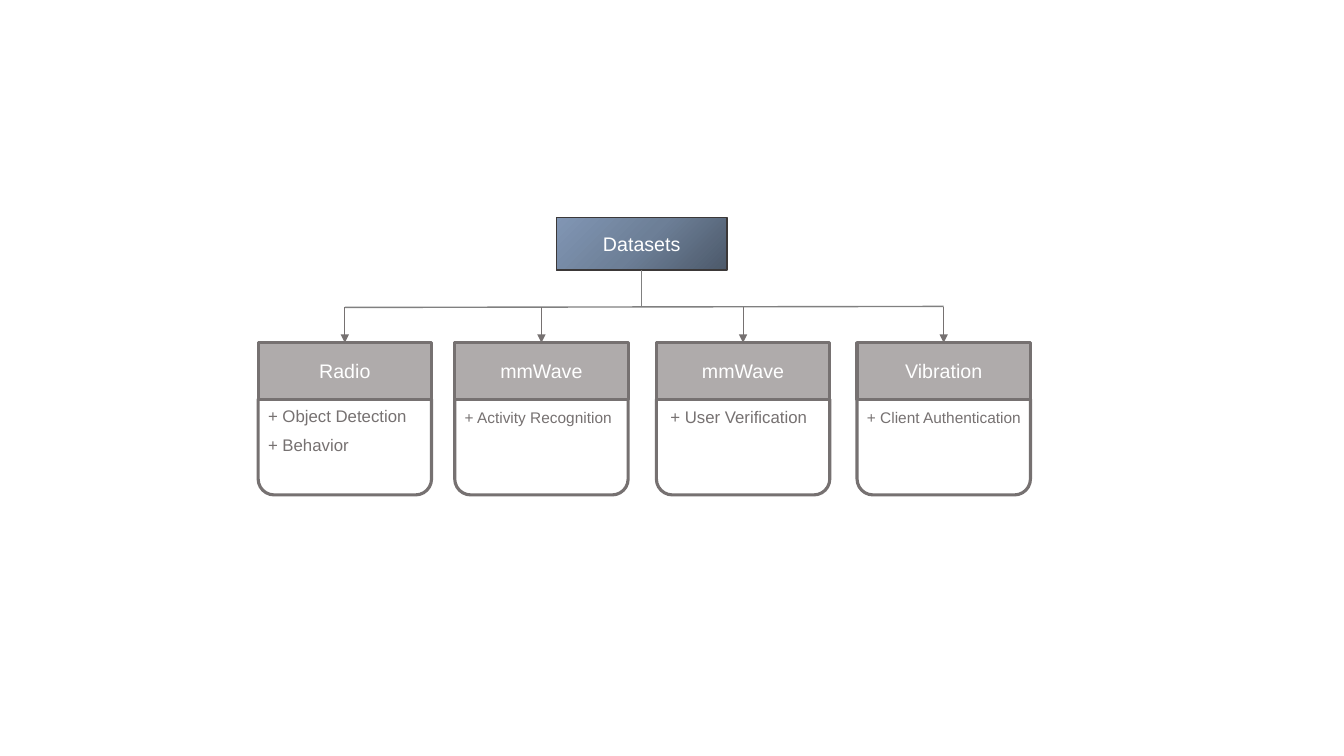
from copy import deepcopy
from dataclasses import dataclass

from lxml import etree
from pptx import Presentation
from pptx.dml.color import RGBColor
from pptx.enum import shapes, text
from pptx.oxml import ns
from pptx.util import Inches, Pt

ROOT = "Datasets"
BRANCHES = [
    dict(name="Radio", left=2.56, items=["+ Object Detection", "+ Behavior"],
         note=(2.56, 3.98, 0.59), size=12, before=6),
    dict(name="mmWave", left=4.51, items=["+ Activity Recognition"],
         note=(4.51, 4.0, 0.29), size=11, before=0),
    dict(name="mmWave", left=6.51, items=["+ User Verification"],
         note=(6.55, 3.99, 0.3), size=12, before=0),
    dict(name="Vibration", left=8.5, items=["+ Client Authentication"],
         note=(8.5, 4.0, 0.29), size=11, before=0),
]
ROOT_BOX = (5.52, 2.16, 1.69, 0.52)
BOX_W, HEAD_TOP, HEAD_H, BODY_H, NOTE_W = 1.72, 3.4, 0.56, 0.95, 1.82
BUS_Y = 3.05


@dataclass(frozen=True)
class Theme:
    """Colours, font and sizes of the tree."""
    font: str = "Arial"
    head_size: int = 14
    white: str = "FFFFFF"
    grey: str = "767171"
    bus: str = "808080"
    head: str = "AFABAB"
    root_line: str = "3B3838"
    root_stops: tuple = ((0, "4C596A"), (0.5, "6D7F97"), (1, "8196B4"))


THEME = Theme()


def rgb(value):
    """Turn a hex string into a colour."""
    return RGBColor.from_string(value)


def write(tf, lines, size, color, **para):
    """Fill a text frame with one paragraph per line."""
    tf.word_wrap = True
    for i, line in enumerate(lines):
        p = tf.paragraphs[0] if i == 0 else tf.add_paragraph()
        for key, value in para.items():
            setattr(p, key, value)
        r = p.add_run()
        r.text = line
        for key, value in dict(name=THEME.font, size=Pt(size)).items():
            setattr(r.font, key, value)
        r.font.color.rgb = rgb(color)


def add_box(s, kind, box, line, width, fill=None, label=None):
    """Add an outlined shape with an optional fill and centred label."""
    sp = s.shapes.add_shape(kind, *map(Inches, box))
    sp.shadow.inherit = False
    sp.line.color.rgb = rgb(line)
    sp.line.width = Pt(width)
    if fill:
        sp.fill.solid()
        sp.fill.fore_color.rgb = rgb(fill)
    else:
        sp.fill.background()
    if label:
        sp.text_frame.vertical_anchor = text.MSO_ANCHOR.MIDDLE
        write(sp.text_frame, [label], THEME.head_size, THEME.white,
              alignment=text.PP_ALIGN.CENTER)
    return sp


def add_line(s, start, end, color, width, arrow=False):
    """Add a straight connector, with an arrowhead at its end if asked."""
    line = s.shapes.add_connector(shapes.MSO_CONNECTOR.STRAIGHT,
                                  *map(Inches, start + end))
    line.line.color.rgb = rgb(color)
    line.line.width = Pt(width)
    if arrow:
        etree.SubElement(line.line._get_or_add_ln(), ns.qn("a:tailEnd"), type="triangle")
    etree.SubElement(line._element.spPr, ns.qn("a:effectLst"))
    return line


def add_root(s):
    """Add the root box with its three-stop gradient."""
    sp = add_box(s, shapes.MSO_SHAPE.RECTANGLE, ROOT_BOX, THEME.root_line, 1, label=ROOT)
    sp.fill.gradient()
    sp.fill.gradient_angle = 135
    stops = sp._element.spPr.find(".//" + ns.qn("a:gsLst"))
    stops.insert(1, deepcopy(stops[0]))
    for stop, (position, color) in zip(sp.fill.gradient_stops, THEME.root_stops):
        stop.position = position
        stop.color.rgb = rgb(color)
    return sp


def add_branch(s, branch):
    """Add one branch: body, header, arrow and notes."""
    left, middle = branch["left"], branch["left"] + BOX_W / 2
    body = add_box(s, shapes.MSO_SHAPE.ROUND_2_SAME_RECTANGLE,
                   (left, HEAD_TOP + HEAD_H, BOX_W, BODY_H), THEME.grey, 2.25)
    body.rotation = 180
    head = add_box(s, shapes.MSO_SHAPE.RECTANGLE, (left, HEAD_TOP, BOX_W, HEAD_H),
                   THEME.grey, 2.25, THEME.head, branch["name"])
    arrow = add_line(s, (middle, BUS_Y), (middle, HEAD_TOP), THEME.grey, 0.75, arrow=True)
    arrow.end_connect(head, 0)
    x, y, height = branch["note"]
    tf = s.shapes.add_textbox(*map(Inches, (x, y, NOTE_W, height))).text_frame
    write(tf, branch["items"], branch["size"], THEME.grey, space_before=Pt(branch["before"]))
    tf.auto_size = text.MSO_AUTO_SIZE.SHAPE_TO_FIT_TEXT


def main():
    """Build the dataset tree slide."""
    prs = Presentation()
    prs.slide_width, prs.slide_height = Inches(13.33), Inches(7.5)
    s = prs.slides.add_slide(prs.slide_layouts[6])
    root = add_root(s)
    first, last = (BRANCHES[i]["left"] + BOX_W / 2 for i in (0, -1))
    add_line(s, (first, BUS_Y), (last, BUS_Y - 0.01), THEME.bus, 1)
    center = ROOT_BOX[0] + ROOT_BOX[2] / 2
    trunk = add_line(s, (center, ROOT_BOX[1] + ROOT_BOX[3]), (center, BUS_Y), THEME.bus, 1)
    trunk.begin_connect(root, 2)
    for branch in BRANCHES:
        add_branch(s, branch)
    prs.save("out.pptx")


if __name__ == "__main__":
    main()
